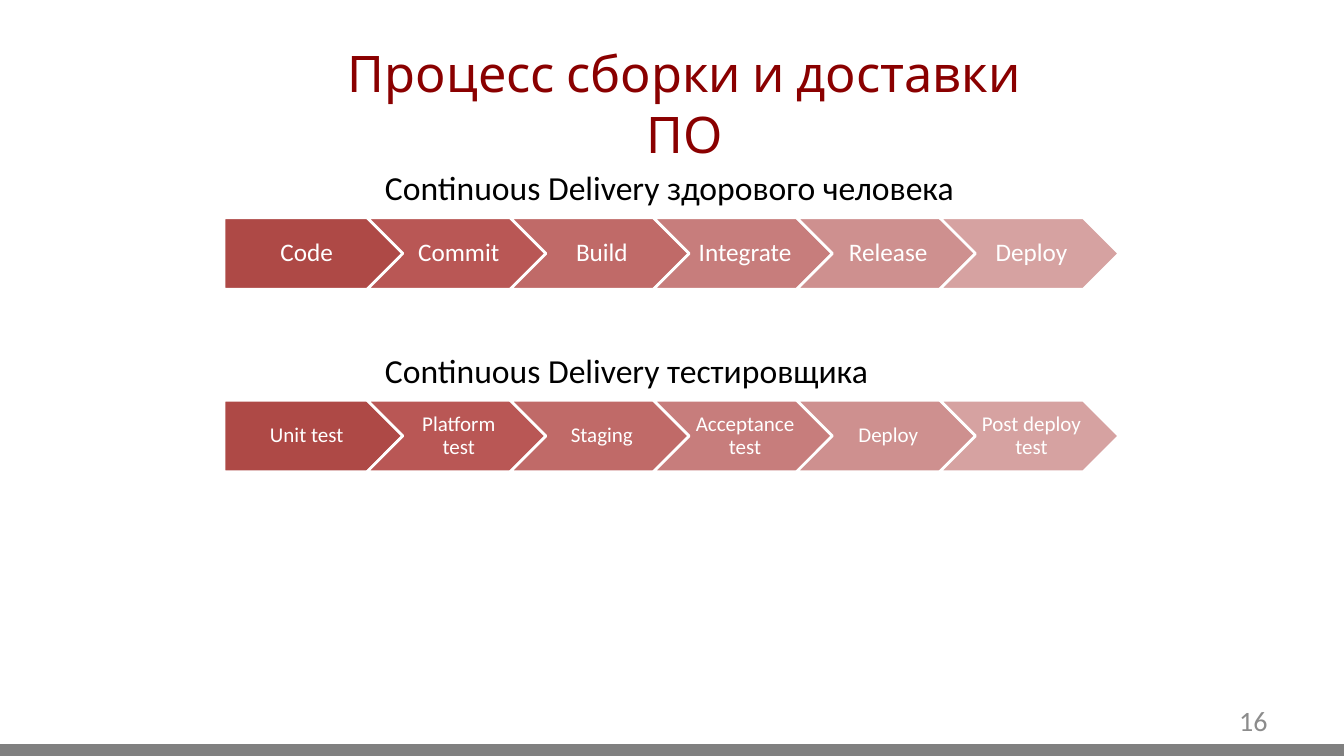
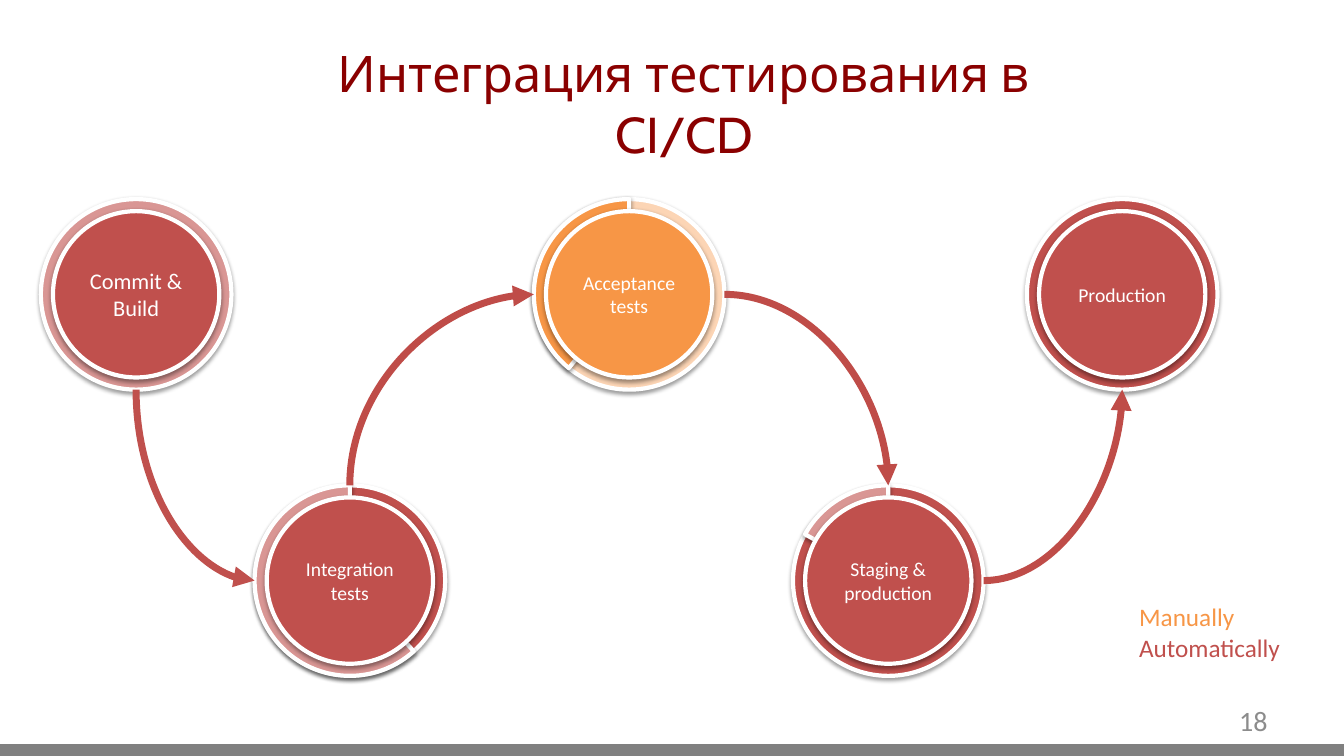
from lxml import etree
from pptx import Presentation
from pptx.dml.color import RGBColor
from pptx.enum.shapes import MSO_CONNECTOR, MSO_SHAPE
from pptx.enum.text import MSO_ANCHOR, MSO_AUTO_SIZE, PP_ALIGN
from pptx.oxml.ns import qn
from pptx.util import Inches, Pt

LEFT, CENTER, RIGHT = PP_ALIGN.LEFT, PP_ALIGN.CENTER, PP_ALIGN.RIGHT
TOP, MIDDLE = MSO_ANCHOR.TOP, MSO_ANCHOR.MIDDLE
PENTAGON, CHEVRON = MSO_SHAPE.PENTAGON, MSO_SHAPE.CHEVRON
OVAL, PIE = MSO_SHAPE.OVAL, MSO_SHAPE.PIE
STRAIGHT, CURVE = MSO_CONNECTOR.STRAIGHT, MSO_CONNECTOR.CURVE
FIT_SHAPE = MSO_AUTO_SIZE.SHAPE_TO_FIT_TEXT

SLIDE_WIDTH, SLIDE_HEIGHT = 13.33, 7.5
TITLE_FONT, BODY_FONT = "Cabin", "Calibri"
WHITE, BLACK, GRAY, NUMBER_GRAY = "FFFFFF", "000000", "808080", "8C8C8C"
TITLE_RED, RED, ARROW_RED, PALE_RED = "8A0000", "C0504D", "BF4C48", "D99694"
ORANGE, PALE_ORANGE = "F79646", "FCD5B5"
STEP_COLORS = ["AE4946", "B95755", "C06A68", "C77D7C", "CE908F", "D6A2A1"]

STEP_WIDTH, STEP_HEIGHT, STEP_PITCH = 1.78, 0.71, 1.42
RING_SIZE, DISC_SIZE = 1.89, 1.65
# Connection sites of an ellipse: index and direction from its centre
SITES = {"top": (0, 0, -1), "left": (2, -1, 0), "bottom": (4, 0, 1), "right": (6, 1, 0)}


def rgb(color):
    return RGBColor.from_string(color)


def box(left, top, width, height):
    return [Inches(value) for value in (left, top, width, height)]


def format_paragraph(paragraph, size, color, align=LEFT, font=BODY_FONT):
    paragraph.alignment = align
    paragraph.font.name = font
    paragraph.font.size = Pt(size)
    paragraph.font.color.rgb = rgb(color)


def add_text(slide, bounds, lines, size, align=LEFT, wrap=False, anchor=TOP):
    """Text box with one paragraph for each (text, color) pair."""
    frame = slide.shapes.add_textbox(*box(*bounds)).text_frame
    frame.word_wrap = wrap
    frame.vertical_anchor = anchor
    frame.text = "\n".join(text for text, _ in lines)
    for paragraph, (_, color) in zip(frame.paragraphs, lines):
        format_paragraph(paragraph, size, color, align)


def add_shape(slide, kind, bounds, fill, line_width):
    shape = slide.shapes.add_shape(kind, *box(*bounds))
    shape.shadow.inherit = False
    shape.fill.solid()
    shape.fill.fore_color.rgb = rgb(fill)
    shape.line.color.rgb = rgb(WHITE)
    shape.line.width = Pt(line_width)
    return shape


def set_label(shape, text, size):
    frame = shape.text_frame
    frame.word_wrap = True
    frame.vertical_anchor = MIDDLE
    frame.text = text
    format_paragraph(frame.paragraphs[0], size, WHITE, CENTER)
    return frame


def add_line(slide, kind, start, end, color, width):
    points = [Inches(value) for value in (*start, *end)]
    connector = slide.shapes.add_connector(kind, *points)
    connector.line.color.rgb = rgb(color)
    connector.line.width = Pt(width)
    etree.SubElement(connector._element.spPr, qn("a:effectLst"))
    return connector


def add_base_slide(presentation, title, title_left, title_width, number):
    """Slide with the shared title, bottom band and page number."""
    slide = presentation.slides.add_slide(presentation.slide_layouts[5])
    add_line(slide, STRAIGHT, (0, 7.45), (SLIDE_WIDTH, 7.45), GRAY, 10)
    shape = slide.shapes.title
    shape.left, shape.top, shape.width, shape.height = box(title_left, 0.37, title_width, 0.71)
    frame = shape.text_frame
    frame.text = title
    frame.word_wrap = True
    frame.auto_size = FIT_SHAPE
    frame.vertical_anchor = TOP
    format_paragraph(frame.paragraphs[0], 36, TITLE_RED, CENTER, TITLE_FONT)
    add_text(slide, (9.56, 6.95, 3.11, 0.4), [(number, NUMBER_GRAY)], 20, RIGHT, True, MIDDLE)
    return slide


# Process slide
def add_process(slide, left, top, heading, steps, size):
    """Heading above a row of overlapping arrow steps."""
    add_text(slide, (left + 1.5, top, 5.9, 0.5), [(heading, BLACK)], 24)
    for index, (step, color) in enumerate(zip(steps, STEP_COLORS)):
        bounds = (left + index * STEP_PITCH, top + 0.55, STEP_WIDTH, STEP_HEIGHT)
        shape = add_shape(slide, CHEVRON if index else PENTAGON, bounds, color, 2)
        frame = set_label(shape, step, size)
        # Narrow margins keep the longest word on one line
        frame.margin_left, frame.margin_right = Inches(0.04), Inches(0)
        frame.paragraphs[0].line_spacing = 0.9


def build_process_slide(presentation):
    slide = add_base_slide(presentation, "Процесс сборки и доставки ПО", 3.03, 7.52, "16")
    add_process(slide, 2.22, 1.61, "Continuous Delivery здорового человека",
                ["Code", "Commit", "Build", "Integrate", "Release", "Deploy"], 18)
    add_process(slide, 2.22, 3.42, "Continuous Delivery тестировщика",
                ["Unit test", "Platform test", "Staging", "Acceptance test",
                 "Deploy", "Post deploy test"], 15)


# Integration slide
def add_round_shape(slide, kind, center, size, fill):
    bounds = (center[0] - size / 2, center[1] - size / 2, size, size)
    shape = add_shape(slide, kind, bounds, fill, 3)
    effects = shape._element.spPr.find(qn("a:effectLst"))
    shadow = etree.SubElement(effects, qn("a:outerShdw"), blurRad=str(Pt(3.1)),
                              dist=str(Pt(1.6)), dir="5400000", rotWithShape="0")
    color = etree.SubElement(shadow, qn("a:srgbClr"), val=BLACK)
    etree.SubElement(color, qn("a:alpha"), val="38000")
    return shape


def add_stage(slide, center, text, size, disc_color, ring_color, pie_color, pie_start):
    """Labelled disc in a ring; the pie runs from its start angle up to the top."""
    ring = add_round_shape(slide, OVAL, center, RING_SIZE, ring_color)
    if pie_color:
        pie = add_round_shape(slide, PIE, center, RING_SIZE, pie_color)
        # Angles are in 60000ths of a degree, adjustments in 100000ths
        pie.adjustments[0], pie.adjustments[1] = pie_start * 0.6, 270 * 0.6
    set_label(add_round_shape(slide, OVAL, center, DISC_SIZE, disc_color), text, size)
    return ring, center


def add_stage_arrow(slide, side_stage, side, end_stage, end, arrow_end, color):
    """Quarter curve leaving one stage sideways and meeting the other vertically."""
    joints = []
    for (ring, center), site in ((side_stage, side), (end_stage, end)):
        index, across, down = SITES[site]
        point = (center[0] + across * RING_SIZE / 2, center[1] + down * RING_SIZE / 2)
        joints.append((ring, index, point))
    connector = add_line(slide, CURVE, joints[0][2], joints[1][2], color, 5)
    element = connector._element
    element.spPr.find(qn("a:prstGeom")).set("prst", "curvedConnector2")
    links = element.find(qn("p:nvCxnSpPr")).find(qn("p:cNvCxnSpPr"))
    for tag, (ring, index, _) in zip(("a:stCxn", "a:endCxn"), joints):
        etree.SubElement(links, qn(tag), id=str(ring.shape_id), idx=str(index))
    line = element.spPr.find(qn("a:ln"))
    etree.SubElement(line, qn(arrow_end), type="triangle")


def build_integration_slide(presentation):
    slide = add_base_slide(presentation, "Интеграция тестирования в CI/CD", 2.75, 8.07, "18")
    upper, lower = 2.92, 5.76
    stages = [
        ((1.35, upper), "Commit & Build", 16, RED, PALE_RED, None, 0),
        ((3.47, lower), "Integration tests", 14, RED, RED, PALE_RED, 47.9),
        ((6.24, upper), "Acceptance tests", 14, ORANGE, PALE_ORANGE, ORANGE, 129.3),
        ((8.81, lower), "Staging & production", 14, RED, RED, PALE_RED, 209.1),
        ((11.13, upper), "Production", 14, RED, RED, None, 0),
    ]
    commit, integration, acceptance, staging, production = [
        add_stage(slide, *stage) for stage in stages]
    arrows = [
        (integration, "left", commit, "bottom", "a:headEnd", RED),
        (acceptance, "left", integration, "top", "a:headEnd", ARROW_RED),
        (acceptance, "right", staging, "top", "a:tailEnd", ARROW_RED),
        (staging, "right", production, "bottom", "a:tailEnd", ARROW_RED),
    ]
    for arrow in arrows:
        add_stage_arrow(slide, *arrow)
    # Legend
    add_text(slide, (11.2, 5.92, 1.61, 0.71), [("Manually", ORANGE), ("Automatically", RED)], 18)


def main():
    presentation = Presentation()
    presentation.slide_width = Inches(SLIDE_WIDTH)
    presentation.slide_height = Inches(SLIDE_HEIGHT)
    build_process_slide(presentation)
    build_integration_slide(presentation)
    presentation.save("out.pptx")


if __name__ == "__main__":
    main()
